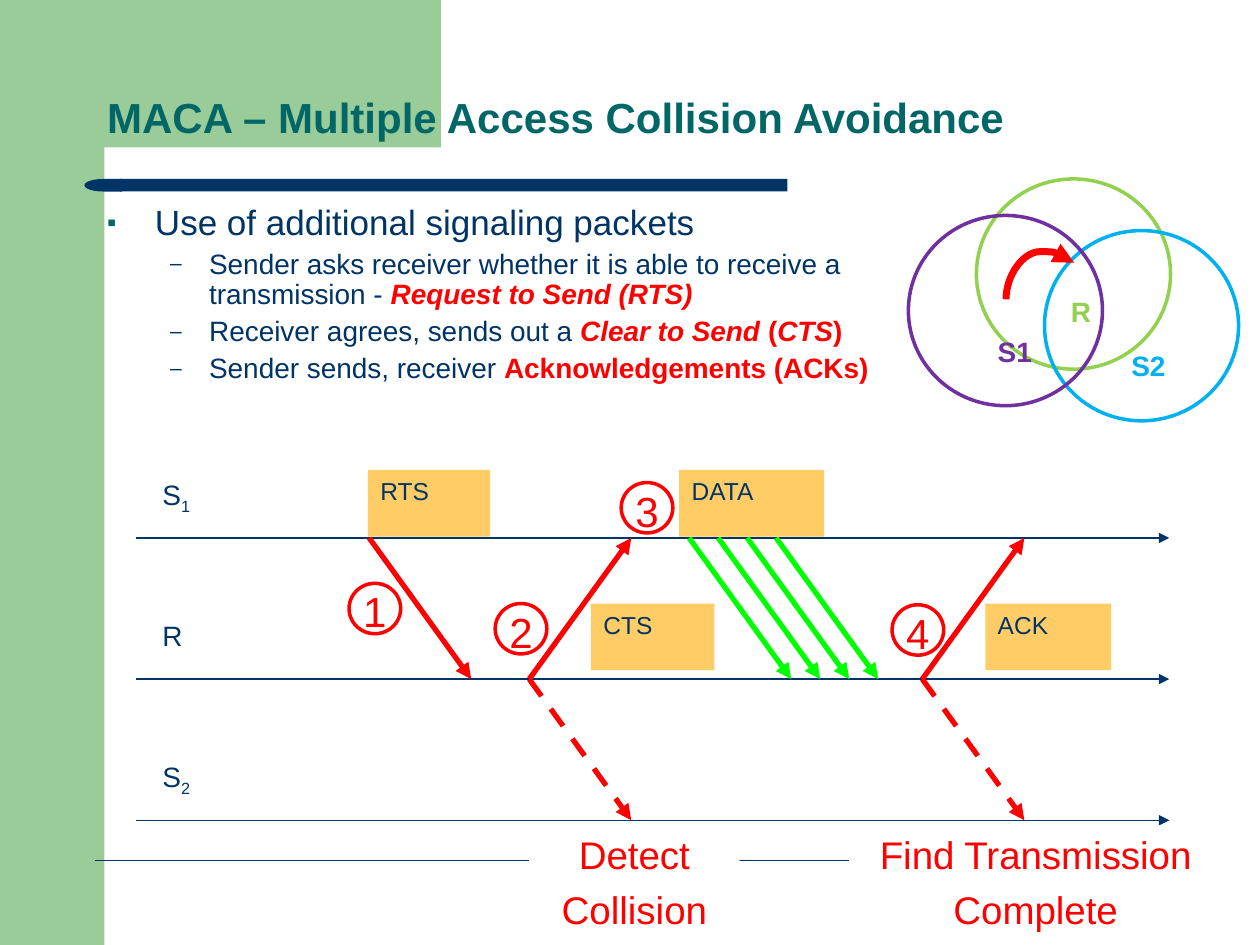
from lxml.etree import SubElement
from pptx import Presentation
from pptx.dml.color import RGBColor
from pptx.enum.dml import MSO_LINE
from pptx.enum.shapes import MSO_CONNECTOR as LINK, MSO_SHAPE as SHAPE
from pptx.enum.text import MSO_ANCHOR as ANCHOR, MSO_AUTO_SIZE as FIT, PP_ALIGN as ALIGN
from pptx.oxml.ns import qn
from pptx.util import Inches, Pt

HUES = {
    "navy": "003366", "teal": "006666", "leaf": "99CC99", "sand": "FFCC66",
    "red": "FF0000", "lime": "00FF00", "white": "FFFFFF",
    "green": "92D050", "blue": "00B0F0", "purple": "7030A0",
}
ROWS = {"S1": 4.27, "R": 5.39, "S2": 6.51}
STEP = 0.81  # how far a signal moves right between two rows


def hue(name):
    return RGBColor.from_string(HUES[name])


def add_run(para, text, size, color, bold=False, italic=False, base=None):
    run = para.add_run()
    run.text = text
    font = run.font
    font.name, font.size = "Arial", Pt(size)
    font.bold, font.italic = bold, italic
    font.color.rgb = hue(color)
    if base:
        run._r.get_or_add_rPr().set("baseline", str(base * 1000))


def add_shape(slide, kind, box, fill=None, line=None):
    shape = slide.shapes.add_shape(kind, *map(Inches, box))
    shape.shadow.inherit = False
    if fill:
        shape.fill.solid()
        shape.fill.fore_color.rgb = hue(fill)
    else:
        shape.fill.background()
    if line:
        shape.line.color.rgb = hue(line)
        shape.line.width = Pt(2)
    else:
        shape.line.fill.background()
    return shape


def add_line(slide, start, end, color, width, tip="tail", dash=False, kind=LINK.STRAIGHT):
    """Draw a connector; tip is tail, head or None."""
    line = slide.shapes.add_connector(kind, *map(Inches, (*start, *end)))
    line.line.color.rgb = hue(color)
    line.line.width = Pt(width)
    if dash:
        line.line.dash_style = MSO_LINE.DASH
    if tip:
        SubElement(line.line._get_or_add_ln(), qn(f"a:{tip}End"), type="triangle")
    SubElement(line._element.spPr, qn("a:effectLst"))
    return line


def add_label(slide, box, runs):
    label = slide.shapes.add_textbox(*map(Inches, box))
    label.text_frame.word_wrap = True
    for run in runs:
        add_run(label.text_frame.paragraphs[0], *run)


def add_card(slide, box, text):
    """Draw a packet with its name at the top left."""
    frame = add_shape(slide, SHAPE.RECTANGLE, box, "sand").text_frame
    frame.vertical_anchor = ANCHOR.TOP
    frame.paragraphs[0].alignment = ALIGN.LEFT
    add_run(frame.paragraphs[0], text, 14, "navy")


def add_note(slide, box, lines):
    frame = add_shape(slide, SHAPE.RECTANGLE, box, "white").text_frame
    frame.vertical_anchor = ANCHOR.TOP
    for i, text in enumerate(lines):
        para = frame.add_paragraph() if i else frame.paragraphs[0]
        para.alignment = ALIGN.CENTER
        if i:
            para.space_before = Pt(5)
        add_run(para, text, 22, "red")


def add_badge(slide, left, top, text):
    frame = add_shape(slide, SHAPE.OVAL, (left, top, 0.41, 0.4), line="red").text_frame
    frame.margin_left = frame.margin_right = frame.margin_bottom = 0
    frame.margin_top = Inches(0.04)
    frame.vertical_anchor = ANCHOR.MIDDLE
    frame.word_wrap = False
    frame.paragraphs[0].alignment = ALIGN.CENTER
    add_run(frame.paragraphs[0], text, 24, "red")


def place(holder, box):
    holder.left, holder.top, holder.width, holder.height = map(Inches, box)
    frame = holder.text_frame
    frame.auto_size = FIT.NONE
    frame.word_wrap = True
    return frame


def add_bullet(para, mark, color, left, hang):
    props = para._p.get_or_add_pPr()
    props.set("marL", str(Inches(left)))
    props.set("indent", str(-Inches(hang)))
    SubElement(SubElement(props, qn("a:buClr")), qn("a:srgbClr"), val=HUES[color])
    SubElement(props, qn("a:buSzPct"), val="75000")
    SubElement(props, qn("a:buFont"), typeface="Arial")
    SubElement(props, qn("a:buChar"), char=mark)


def add_frame(slide):
    """Draw the side band, the title rule and the foot line."""
    add_shape(slide, SHAPE.RECTANGLE, (0, 0, 0.83, 7.5), "leaf")
    add_shape(slide, SHAPE.RECTANGLE, (0.75, 0, 2.75, 1.17), "leaf")
    add_shape(slide, SHAPE.RECTANGLE, (0.95, 1.42, 5.3, 0.1), "navy")
    add_shape(slide, SHAPE.FLOWCHART_DELAY, (0.67, 1.42, 0.3, 0.1), "navy").rotation = 180
    add_line(slide, (0.75, 6.83), (9.5, 6.83), "navy", 0.75, tip=None)


def fill_text(title, body):
    frame = place(title, (0.75, 0.58, 9, 0.75))
    frame.vertical_anchor = ANCHOR.MIDDLE
    para = frame.paragraphs[0]
    para.alignment, para.line_spacing = ALIGN.LEFT, 0.9
    add_run(para, "MACA – Multiple Access Collision Avoidance", 24, "teal", True)

    frame = place(body, (0.75, 1.58, 6.57, 1.91))
    para = frame.paragraphs[0]
    add_bullet(para, "▪", "teal", 0.38, 0.38)
    para.line_spacing, para.space_before = 0.9, Pt(0)
    add_run(para, "Use of additional signaling packets", 20, "navy")
    points = [
        [("Sender asks receiver whether it is able to receive a transmission - ", "navy"),
         ("Request to Send (RTS)", "red", True, True)],
        [("Receiver agrees, sends out a ", "navy"), ("Clear to Send ", "red", True, True),
         ("(", "red", True), ("CTS", "red", True, True), (")", "red", True)],
        [("Sender sends, receiver ", "navy"), ("Acknowledgements (ACKs)", "red", True)],
    ]
    for point in points:
        para = frame.add_paragraph()
        para.level = 1
        add_bullet(para, "–", "navy", 0.81, 0.31)
        para.line_spacing, para.space_before = 0.9, Pt(4)
        for text, *style in point:
            add_run(para, text, 16, *style)


def add_chain(slide):
    """Draw the time lines, the signals between them and the packets."""
    for name, y in ROWS.items():
        add_line(slide, (1.08, y), (9.28, y), "navy", 0.75)
        runs = [(name[0], 16, "navy")]
        if name[1:]:
            runs.append((name[1:], 16, "navy", False, False, -25))
        add_label(slide, (1.19, y - 0.53, 0.71, 0.4), runs)
    signals = [(2.93, "S1", "R", "red"), (4.2, "R", "S2", "red"),
               (4.2, "R", "S1", "red"), (7.32, "R", "S1", "red"), (7.32, "R", "S2", "red")]
    signals += [(5.47 + 0.23 * i, "S1", "R", "lime") for i in range(4)]
    for x, start, end, color in signals:
        add_line(slide, (x, ROWS[start]), (x + STEP, ROWS[end]), color, 3, dash=end == "S2")
    for text, left, top, width in [("RTS", 2.92, 3.73, 0.97), ("CTS", 4.69, 4.79, 0.98),
                                   ("ACK", 7.82, 4.79, 1), ("DATA", 5.39, 3.73, 1.15)]:
        add_card(slide, (left, top, width, 0.53), text)


def add_range(slide):
    """Draw the three radio ranges and the arrow from S1 to R."""
    for name, left, top, color, x, y in [("R", 7.75, 1.42, "green", 8.4, 2.29),
                                         ("S2", 8.29, 1.83, "blue", 8.88, 2.72),
                                         ("S1", 7.21, 1.71, "purple", 7.82, 2.61)]:
        add_shape(slide, SHAPE.OVAL, (left, top, 1.54, 1.51), line=color)
        add_label(slide, (x, y, 0.48, 0.37), [(name, 16, color, True)])
    curve = add_line(slide, (8.4, 2.5), (8.11, 1.96), "red", 4, "head", kind=LINK.CURVE)
    props = curve._element.spPr
    props.find(qn("a:xfrm")).set("rot", str(270 * 60000))
    guides = props.find(qn("a:prstGeom")).find(qn("a:avLst"))
    SubElement(guides, qn("a:gd"), name="adj1", fmla="val -30400")


def main():
    deck = Presentation()
    deck.slide_width, deck.slide_height = Inches(10), Inches(7.5)
    slide = deck.slides.add_slide(deck.slide_layouts[1])
    title, body = slide.placeholders
    add_frame(slide)
    for holder in (title, body):
        slide.shapes._spTree.append(holder._element)  # bring text above the band
    fill_text(title, body)
    add_chain(slide)
    add_range(slide)
    for text, left, top in [("1", 2.77, 4.63), ("2", 3.93, 4.79),
                            ("3", 4.93, 3.83), ("4", 7.08, 4.8)]:
        add_badge(slide, left, top, text)
    add_note(slide, (4.2, 6.55, 1.67, 0.92), ["Detect", "Collision"])
    add_note(slide, (6.74, 6.55, 2.96, 0.92), ["Find Transmission", "Complete"])
    deck.save("out.pptx")


if __name__ == "__main__":
    main()
